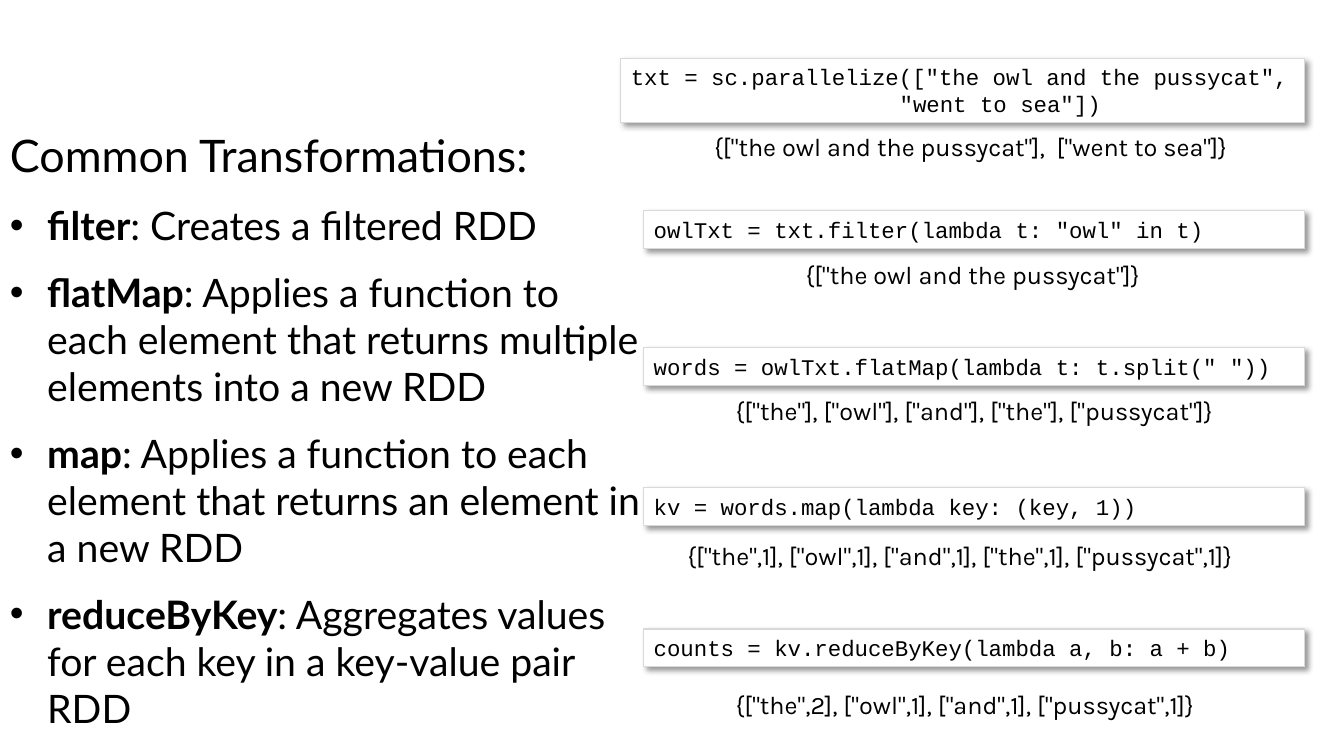
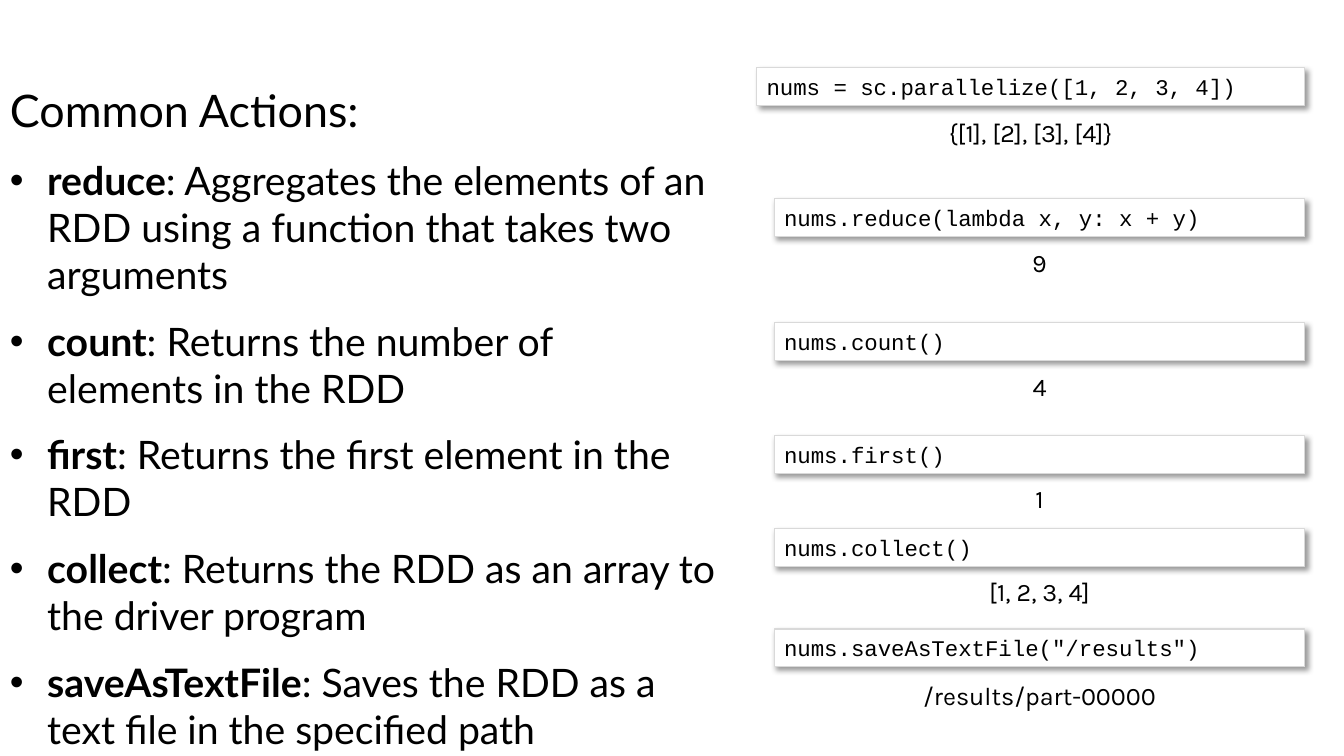
"""Builds two slides on common RDD transformations and actions."""
import pptx
import pptx.dml.color
import pptx.enum.shapes
import pptx.enum.text
import pptx.oxml
import pptx.oxml.ns
import pptx.util

WIDTH, HEIGHT = pptx.util.Inches(13.33), pptx.util.Inches(7.5)
BLACK, WHITE, BORDER = "000000", "FFFFFF", "D9D9D9"
BODY_FONT, CODE_FONT, RESULT_FONT = "Lato", "Courier New", "Karla"
HEADING_SIZE, BULLET_SIZE, CODE_SIZE, RESULT_SIZE = 32, 28, 16, 18
RIGHT, CODE_ROWS, RESULT_ROWS = 97.1, 5, 5.3
BULLET_INDENT = pptx.util.Inches(0.37)
CHAR_WIDTH = 0.6 * CODE_SIZE
LEFT_ALIGN = pptx.enum.text.PP_ALIGN.LEFT
CENTER = pptx.enum.text.PP_ALIGN.CENTER

TRANSFORMATIONS = [
    ("filter", "Creates a filtered RDD"),
    ("flatMap", "Applies a function to each element that returns multiple elements into a new RDD"),
    ("map", "Applies a function to each element that returns an element in a new RDD"),
    ("reduceByKey", "Aggregates values for each key in a key-value pair RDD"),
]
TRANSFORMATION_CODE = [
    (46.2, 7.7, 'txt = sc.parallelize(["the owl and the pussycat",\n"went to sea"])'),
    (47.9, 27.9, 'owlTxt = txt.filter(lambda t: "owl" in t)'),
    (47.9, 46, 'words = owlTxt.flatMap(lambda t: t.split(" "))'),
    (47.9, 64.5, "kv = words.map(lambda key: (key, 1))"),
    (47.9, 83.2, "counts = kv.reduceByKey(lambda a, b: a + b)"),
]
TRANSFORMATION_RESULTS = [
    (52.4, 16.7, 41.6, '{["the owl and the pussycat"],  ["went to sea"]}'),
    (59.2, 33.7, 26.6, '{["the owl and the pussycat"]}'),
    (54, 51.7, 43.1, '{["the"], ["owl"], ["and"], ["the"], ["pussycat"]}'),
    (50.4, 70.8, 45.8, '{["the",1], ["owl",1], ["and",1], ["the",1], ["pussycat",1]}'),
    (54, 90.5, 42.2, '{["the",2], ["owl",1], ["and",1], ["pussycat",1]}'),
]
ACTIONS = [
    ("reduce", "Aggregates the elements of an RDD using a function that takes two arguments"),
    ("count", "Returns the number of elements in the RDD"),
    ("first", "Returns the first element in the RDD"),
    ("collect", "Returns the RDD as an array to the driver program"),
    ("saveAsTextFile", "Saves the RDD as a text file in the specified path"),
]
ACTION_STEPS = [
    (56.3, 8.9, "nums = sc.parallelize([1, 2, 3, 4])", 14.9, "{[1], [2], [3], [4]}"),
    (57.6, 26.3, "nums.reduce(lambda x, y: x + y)", 32.1, "9"),
    (57.6, 42.7, "nums.count()", 48.4, "4"),
    (57.6, 57.6, "nums.first()", 63.3, "1"),
    (57.6, 69.9, "nums.collect()", 75.6, "[1, 2, 3, 4]"),
    (57.6, 83.2, 'nums.saveAsTextFile("/results")', 89.3, "/results/part-00000"),
]


def place(left, top, width, height):
    """Turn percentages of the slide into a position and size."""
    return [int(side * share / 100) for side, share in
            zip((WIDTH, HEIGHT, WIDTH, HEIGHT), (left, top, width, height))]


def rgb(value):
    """Turn a hex string into a colour."""
    return pptx.dml.color.RGBColor.from_string(value)


def format_paragraph(p, font, size, align=LEFT_ALIGN):
    """Align a paragraph and style all its runs."""
    p.alignment = align
    for r in p.runs:
        r.font.name = font
        r.font.size = pptx.util.Pt(size)
        r.font.color.rgb = rgb(BLACK)


def add_shadow(sp):
    """Give a shape a soft shadow to the lower right."""
    sp.shadow.inherit = False
    effects = sp._element.spPr.find(pptx.oxml.ns.qn("a:effectLst"))
    effects.append(pptx.oxml.parse_xml(
        f'<a:outerShdw {pptx.oxml.ns.nsdecls("a")} blurRad="{pptx.util.Pt(4)}" '
        f'dist="{pptx.util.Pt(3)}" dir="2700000" algn="tl" rotWithShape="0">'
        f'<a:srgbClr val="{BLACK}"><a:alpha val="40000"/></a:srgbClr></a:outerShdw>'))


def add_bullet(p):
    """Give a paragraph a hanging bullet."""
    pPr = p._p.get_or_add_pPr()
    pPr.set("marL", str(BULLET_INDENT))
    pPr.set("indent", str(-BULLET_INDENT))
    for xml in ('<a:buFont {} typeface="Arial"/>', '<a:buChar {} char="•"/>'):
        pPr.append(pptx.oxml.parse_xml(xml.format(pptx.oxml.ns.nsdecls("a"))))


def add_text_box(slide, box, text):
    """Add a wrapping text box and return its text frame."""
    tf = slide.shapes.add_textbox(*place(*box)).text_frame
    tf.word_wrap = True
    tf.text = text
    return tf


def add_definitions(slide, box, heading, definitions):
    """Add a heading followed by bulleted terms and their meanings."""
    tf = add_text_box(slide, box, heading)
    format_paragraph(tf.paragraphs[0], BODY_FONT, HEADING_SIZE)
    for term, meaning in definitions:
        p = tf.add_paragraph()
        p.text = term
        p.runs[0].font.bold = True
        p.add_run().text = f": {meaning}"
        format_paragraph(p, BODY_FONT, BULLET_SIZE)
        add_bullet(p)
    for p in tf.paragraphs:
        p.space_before = pptx.util.Pt(14)


def add_code(slide, left, top, code):
    """Add a code box reaching the right margin, indenting later lines."""
    rows = CODE_ROWS + 3.5 * code.count("\n")
    sp = slide.shapes.add_shape(pptx.enum.shapes.MSO_SHAPE.RECTANGLE,
                                *place(left, top, RIGHT - left, rows))
    sp.fill.solid()
    sp.fill.fore_color.rgb = rgb(WHITE)
    sp.line.color.rgb = rgb(BORDER)
    sp.line.width = pptx.util.Pt(0.75)
    add_shadow(sp)
    tf = sp.text_frame
    tf.word_wrap = True
    tf.vertical_anchor = pptx.enum.text.MSO_ANCHOR.MIDDLE
    tf.text = code
    for p in tf.paragraphs:
        format_paragraph(p, CODE_FONT, CODE_SIZE)
    for p in tf.paragraphs[1:]:
        p._p.get_or_add_pPr().set("marL", str(pptx.util.Pt(20 * CHAR_WIDTH)))


def add_result(slide, left, top, width, text, align=LEFT_ALIGN):
    """Add the value that a code box yields."""
    tf = add_text_box(slide, (left, top, width, RESULT_ROWS), text)
    format_paragraph(tf.paragraphs[0], RESULT_FONT, RESULT_SIZE, align)


def add_slide(prs):
    """Add a blank slide with a white background."""
    slide = prs.slides.add_slide(prs.slide_layouts[6])
    slide.background.fill.solid()
    slide.background.fill.fore_color.rgb = rgb(WHITE)
    return slide


def main():
    """Build both slides and save them."""
    prs = pptx.Presentation()
    prs.slide_width, prs.slide_height = WIDTH, HEIGHT

    slide = add_slide(prs)
    add_definitions(slide, (0, 16.3, 48.4, 79.6), "Common Transformations:", TRANSFORMATIONS)
    for step in TRANSFORMATION_CODE:
        add_code(slide, *step)
    for result in TRANSFORMATION_RESULTS:
        add_result(slide, *result)

    slide = add_slide(prs)
    add_definitions(slide, (0, 10.3, 54.1, 82.9), "Common Actions:", ACTIONS)
    for left, top, code, result_top, result in ACTION_STEPS:
        add_code(slide, left, top, code)
        add_result(slide, left, result_top, RIGHT - left, result, CENTER)

    prs.save("out.pptx")


if __name__ == "__main__":
    main()
